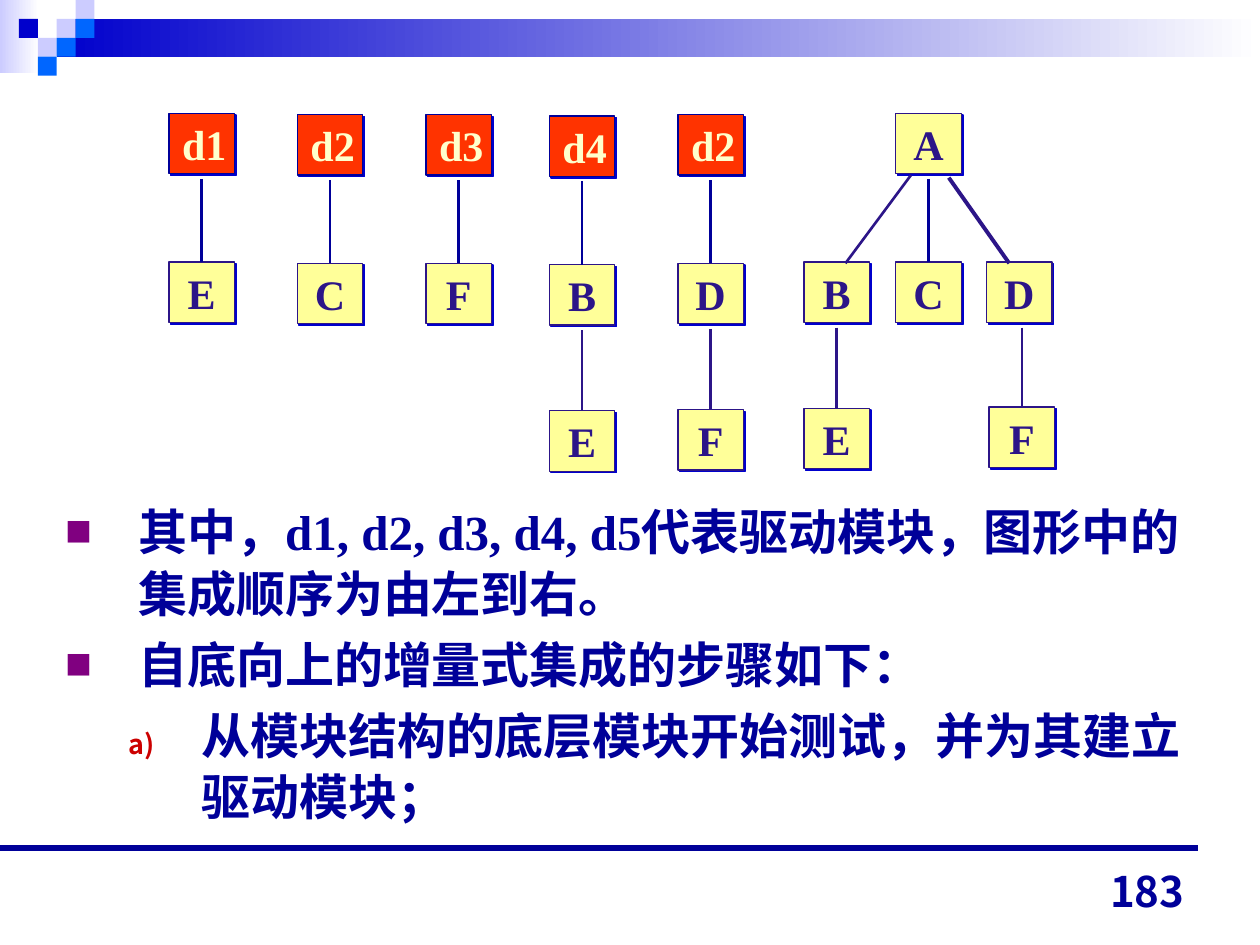
from lxml import etree
from pptx import Presentation
from pptx.dml.color import RGBColor
from pptx.enum.shapes import MSO_CONNECTOR, MSO_SHAPE
from pptx.enum.text import MSO_ANCHOR, PP_ALIGN
from pptx.oxml.ns import qn
from pptx.util import Inches, Pt

COLORS = {
    "navy": "000099", "blue": "0000CC", "sky": "0066FF", "pale": "CCCCFF",
    "white": "FFFFFF", "indigo": "2C1588", "yellow": "FFFF99",
    "red": "FF3300", "cream": "FFFFCC", "purple": "800080", "crimson": "CC0000",
}
SERIF, SANS = "Times New Roman", "Noto Sans CJK JP"
NODE_W, NODE_H = 0.52, 0.48
ROWS = (0, 1.18, 2.34)
GAP = 0.04
TILE = 0.15


def rgb(name):
    return RGBColor.from_string(COLORS[name])


def child(parent, tag, **attrs):
    return etree.SubElement(parent, qn(tag), attrs)


def write(p, text, size=24, font=SERIF, color="navy", align=None):
    if align is not None:
        p.alignment = align
    r = p.add_run()
    r.text = text
    r.font.size = Pt(size)
    r.font.bold = True
    r.font.name = font
    r.font.color.rgb = rgb(color)
    child(r.font._element, "a:ea", typeface=SANS)


def add_rect(s, x, y, w, h, fill, fade=False):
    sp = s.shapes.add_shape(MSO_SHAPE.RECTANGLE, Inches(x), Inches(y), Inches(w), Inches(h))
    sp.shadow.inherit = False
    sp.line.fill.background()
    if fade:
        sp.fill.gradient()
        sp.fill.gradient_angle = 180
        for stop, name, position in zip(sp.fill.gradient_stops, ("white", fill), (0, 1)):
            stop.color.rgb = rgb(name)
            stop.position = position
    else:
        sp.fill.solid()
        sp.fill.fore_color.rgb = rgb(fill)
    return sp


def add_line(s, x1, y1, x2, y2, color, width=1.5):
    line = s.shapes.add_connector(
        MSO_CONNECTOR.STRAIGHT, Inches(x1), Inches(y1), Inches(x2), Inches(y2))
    line.line.color.rgb = rgb(color)
    line.line.width = Pt(width)
    child(line._element.spPr, "a:effectLst")
    return line


def add_node(s, x, y, label, driver=False):
    sp = add_rect(s, x, y, NODE_W, NODE_H, "red" if driver else "yellow")
    sp.line.color.rgb = rgb("navy" if driver else "indigo")
    sp.line.width = Pt(0.75)
    effects = sp._element.spPr.find(qn("a:effectLst"))
    shadow = child(effects, "a:outerShdw", blurRad="0", dist=str(Pt(1.4)),
                   dir="2700000", algn="ctr", rotWithShape="0")
    child(shadow, "a:srgbClr", val=COLORS["blue"])
    tf = sp.text_frame
    tf.word_wrap = False
    tf.vertical_anchor = MSO_ANCHOR.MIDDLE
    tf.margin_left = Inches(0.04 if driver else 0)
    tf.margin_right = tf.margin_top = tf.margin_bottom = 0
    write(tf.paragraphs[0], label, color="cream" if driver else "indigo",
          align=PP_ALIGN.CENTER)
    return sp


def link_down(s, parent_y, node, color):
    x = (node.left + node.width / 2) / Inches(1)
    line = add_line(s, x, parent_y + NODE_H + GAP, x, node.top / Inches(1), color)
    line.end_connect(node, 0)


def add_chain(s, x, y, labels):
    for i, (label, dy) in enumerate(zip(labels, ROWS)):
        node = add_node(s, x, y + dy, label, driver=i == 0)
        if i:
            link_down(s, y + ROWS[i - 1], node, "navy" if i == 1 else "indigo")


def add_tree(s, x, y):
    top, middle, bottom = (y + dy for dy in ROWS)
    root_x = x + 0.73
    add_node(s, root_x, top, "A")
    add_node(s, x, middle, "B")
    c = add_node(s, root_x, middle, "C")
    add_node(s, x + 1.45, middle, "D")
    e = add_node(s, x, bottom, "E")
    f = add_node(s, x + 1.47, bottom - 0.01, "F")
    link_down(s, top, c, "navy")
    link_down(s, middle, e, "indigo")
    link_down(s, middle, f, "indigo")
    add_line(s, root_x + 0.12, top + NODE_H + 0.01, x + 0.33, middle + 0.01, "indigo")
    add_line(s, root_x + 0.42, top + NODE_H + 0.03, x + 1.63, middle + 0.01, "indigo", 2.25)


def add_header(s, x, y, w):
    add_rect(s, x, y, 0.31, 0.58, "pale", fade=True)
    add_rect(s, x + 3 * TILE, y + TILE, w - 3 * TILE, 2 * TILE, "blue", fade=True)
    tiles = ((3, 1, "pale"), (4, 0, "pale"), (4, 1, "sky"), (2, 2, "pale"),
             (1, 1, "blue"), (3, 2, "sky"), (2, 3, "sky"))
    for col, row, color in tiles:
        add_rect(s, x + col * TILE, y + row * TILE, TILE, TILE, color)


def add_text_box(s, x, y, w, h):
    tf = s.shapes.add_textbox(Inches(x), Inches(y), Inches(w), Inches(h)).text_frame
    tf.word_wrap = True
    return tf


def add_bullet(p, lettered):
    pPr = p._p.get_or_add_pPr()
    pPr.set("marL", str(Inches(1.08 if lettered else 0.58)))
    pPr.set("indent", str(Inches(-0.58)))
    color = child(pPr, "a:buClr")
    child(color, "a:srgbClr", val=COLORS["crimson" if lettered else "purple"])
    child(pPr, "a:buSzPct", val="55000")
    child(pPr, "a:buFont", typeface=SANS)
    if lettered:
        child(pPr, "a:buAutoNum", type="alphaLcParenR")
    else:
        child(pPr, "a:buChar", char="■")


def add_body(s, x, y, w, h):
    items = (
        ("其中，d1, d2, d3, d4, d5代表驱动模块，图形中的集成顺序为由左到右。", 0),
        ("自底向上的增量式集成的步骤如下：", 0),
        ("从模块结构的底层模块开始测试，并为其建立驱动模块；", 1),
    )
    tf = add_text_box(s, x, y, w, h)
    for i, (text, level) in enumerate(items):
        p = tf.add_paragraph() if i else tf.paragraphs[0]
        add_bullet(p, lettered=level == 1)
        p.level = level
        p.line_spacing = 1.05
        p.space_before = Pt(5.2 if i else 0)
        write(p, text, size=28)


def add_footer(s, x, y, w):
    add_line(s, x, y, x + w, y, "navy", 3.25)
    tf = add_text_box(s, x + w - 2.34, y + 0.09, 2.33, 0.5)
    tf.vertical_anchor = MSO_ANCHOR.BOTTOM
    write(tf.paragraphs[0], "183", font=SANS, align=PP_ALIGN.RIGHT)


def main():
    prs = Presentation()
    prs.slide_width, prs.slide_height = Inches(10), Inches(7.5)
    s = prs.slides.add_slide(prs.slide_layouts[6])
    add_header(s, 0, 0, 10)
    add_footer(s, 0, 6.73, 9.51)
    add_body(s, 0.42, 3.91, 9.22, 2.83)
    chains = ((1.34, 0.9, ("d1", "E")), (2.36, 0.91, ("d2", "C")),
              (3.38, 0.91, ("d3", "F")), (4.36, 0.92, ("d4", "B", "E")),
              (5.38, 0.91, ("d2", "D", "F")))
    for x, y, labels in chains:
        add_chain(s, x, y, labels)
    add_tree(s, 6.38, 0.9)
    prs.save("out.pptx")


if __name__ == "__main__":
    main()
